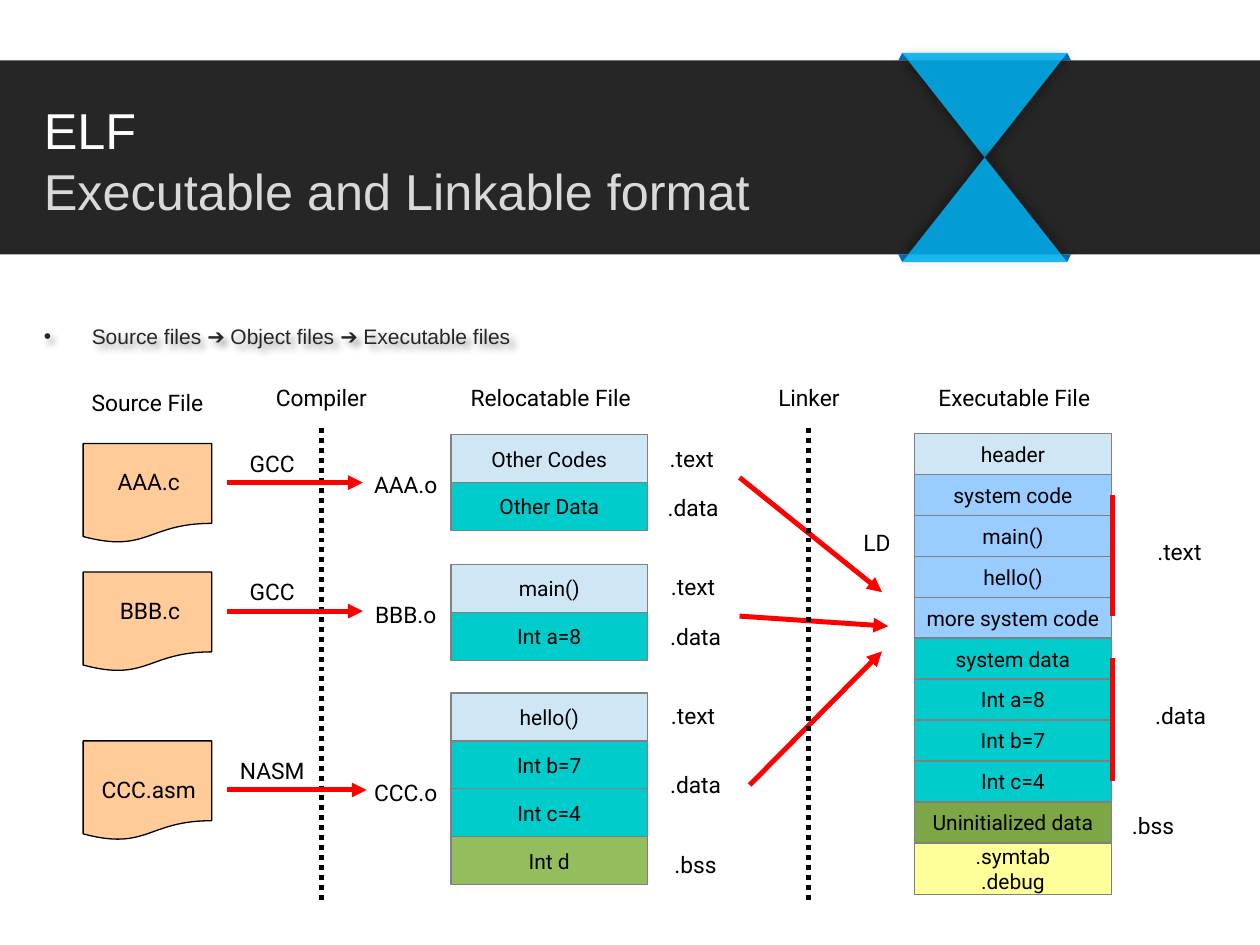
"""Build the slide showing how source files become an ELF executable."""
from lxml import etree
from pptx import Presentation
from pptx.dml.color import RGBColor
from pptx.enum.dml import MSO_LINE
from pptx.enum.shapes import MSO_CONNECTOR, MSO_SHAPE
from pptx.enum.text import MSO_ANCHOR, PP_ALIGN
from pptx.oxml.ns import qn
from pptx.util import Inches, Pt

RECTANGLE = MSO_SHAPE.RECTANGLE
TRIANGLE = MSO_SHAPE.ISOSCELES_TRIANGLE
DOCUMENT = MSO_SHAPE.FLOWCHART_DOCUMENT
STRAIGHT = MSO_CONNECTOR.STRAIGHT
DOTTED = MSO_LINE.ROUND_DOT
MIDDLE = MSO_ANCHOR.MIDDLE
CENTER = PP_ALIGN.CENTER
PALE, BLUE, TEAL = "CFE7F5", "99CCFF", "00CCCC"
RED, BLACK, GRAY = "FF0000", "000000", "808080"


def paint(fill, color):
    fill.solid()
    fill.fore_color.rgb = RGBColor.from_string(color)


def write(shape, text, size):
    frame = shape.text_frame
    frame.text = text
    frame.word_wrap = False
    frame.margin_left = frame.margin_right = 0
    for para in frame.paragraphs:
        para.alignment = CENTER
        for span in para.runs:
            span.font.size = Pt(size)
            span.font.name = "Roboto"
            paint(span.font.fill, BLACK)


deck = Presentation()
deck.slide_width, deck.slide_height = Inches(10), Inches(7.5)
page = deck.slides.add_slide(deck.slide_layouts[6])
shapes = page.shapes

for inner, outer, far in ((7.16, 7.13, 7.22), (8.47, 8.5, 8.42)):
    for tip, base in ((0.42, 0.48), (2.08, 2.02)):
        builder = shapes.build_freeform(Inches(inner), Inches(tip))
        builder.add_line_segments([(Inches(outer), Inches(base)), (Inches(far), Inches(base))])
        fold = builder.convert_to_shape()
        paint(fold.fill, "0070C0")
        fold.line.fill.background()
        fold.shadow.inherit = False

band = shapes.add_shape(RECTANGLE, 0, Inches(0.48), Inches(10), Inches(1.54))
paint(band.fill, "262626")
band.line.fill.background()
band.shadow.inherit = False

shadowed = []
for top, turn, direction in ((0.42, 180, 90), (1.25, 0, 270)):
    ribbon = shapes.add_shape(TRIANGLE, Inches(7.16), Inches(top), Inches(1.31), Inches(0.83))
    ribbon.rotation = turn
    paint(ribbon.fill, "00B0F0")
    ribbon.line.fill.background()
    tint = ribbon.fill._xPr.find(".//" + qn("a:srgbClr"))
    etree.SubElement(tint, qn("a:alpha"), val="87000")
    shadowed.append((ribbon, 7, direction))

title = shapes.add_textbox(Inches(0.25), Inches(0.92), Inches(5.92), Inches(0.7))
title.text_frame.text = "ELF\vExecutable and Linkable format"
title.text_frame.word_wrap = True
title.text_frame.vertical_anchor = MIDDLE
for span, color in zip(title.text_frame.paragraphs[0].runs, ("FFFFFF", "D9D9D9")):
    span.font.name = "Arial"
    span.font.size = Pt(28.8)
    paint(span.font.fill, color)

summary = shapes.add_textbox(Inches(0.25), Inches(2.42), Inches(4.65), Inches(0.46))
summary.text_frame.text = "Source files \u2794 Object files \u2794 Executable files"
summary.text_frame.word_wrap = True
para = summary.text_frame.paragraphs[0]
para.line_spacing = 1.5
para.runs[0].font.name = "Arial"
para.runs[0].font.size = Pt(12)
paint(para.runs[0].font.fill, "262626")
layout = para._p.get_or_add_pPr()
layout.set("marL", str(Inches(0.38)))
layout.set("indent", str(-Inches(0.38)))
etree.SubElement(layout, qn("a:buFont"), typeface="Arial")
etree.SubElement(layout, qn("a:buChar"), char="\u2022")
shadowed.append((summary, 4, 45))

for shape, blur, direction in shadowed:
    shape.shadow.inherit = False
    effects = shape._element.spPr.find(qn("a:effectLst"))
    shadow = etree.SubElement(effects, qn("a:outerShdw"), blurRad=str(Pt(blur)),
                              dist=str(Pt(3)), dir=str(direction * 60000), rotWithShape="0")
    shade = etree.SubElement(shadow, qn("a:srgbClr"), val=BLACK)
    etree.SubElement(shade, qn("a:alpha"), val="40000")

stacks = [
    (3.58, 3.45, 0.38, [("Other Codes", PALE), ("Other Data", TEAL)]),
    (3.58, 4.48, 0.38, [("main()", PALE), ("Int a=8", TEAL)]),
    (3.58, 5.5, 0.38, [("hello()", PALE), ("Int b=7", TEAL), ("Int c=4", TEAL),
                       ("Int d", "94BD5E")]),
    (7.26, 3.44, 0.325, [("header", PALE), ("system code", BLUE), ("main()", BLUE),
                         ("hello()", BLUE), ("more system code", BLUE),
                         ("system data", TEAL), ("Int a=8", TEAL), ("Int b=7", TEAL),
                         ("Int c=4", TEAL), ("Uninitialized data", "7DA647")]),
    (7.26, 6.69, 0.41, [(".symtab\n.debug", "FFFF99")]),
]
for left, top, height, sections in stacks:
    for row, (text, color) in enumerate(sections):
        section = shapes.add_shape(RECTANGLE, Inches(left), Inches(top + row * height),
                                   Inches(1.56), Inches(height))
        paint(section.fill, color)
        paint(section.line.fill, GRAY)
        section.line.width = Pt(0.75)
        section.shadow.inherit = False
        section.text_frame.vertical_anchor = MIDDLE
        write(section, text, 12)

for top in (3.52, 4.54, 5.88):
    source = shapes.add_shape(DOCUMENT, Inches(0.66), Inches(top), Inches(1.02), Inches(0.79))
    paint(source.fill, "FFCC99")
    paint(source.line.fill, BLACK)
    source.line.width = Pt(0.75)
    source.shadow.inherit = False

lines = [
    (8.83, 3.93, 8.83, 4.89, "bracket"),
    (8.83, 5.22, 8.83, 6.2, "bracket"),
    (5.87, 3.79, 7, 4.7, "arrow"),
    (5.87, 4.89, 7.05, 4.97, "arrow"),
    (5.95, 6.23, 7, 5.17, "arrow"),
    (6.42, 3.4, 6.42, 7.14, "divider"),
    (2.55, 3.4, 2.55, 7.14, "divider"),
    (1.8, 3.83, 2.88, 3.83, "arrow"),
    (1.8, 4.85, 2.88, 4.85, "arrow"),
    (1.8, 6.27, 2.91, 6.27, "arrow"),
]
for x1, y1, x2, y2, role in lines:
    line = shapes.add_connector(STRAIGHT, Inches(x1), Inches(y1), Inches(x2), Inches(y2))
    paint(line.line.fill, BLACK if role == "divider" else RED)
    line.line.width = Pt(2.83)
    if role == "divider":
        line.line.dash_style = DOTTED
    if role == "arrow":
        etree.SubElement(line.line._get_or_add_ln(), qn("a:tailEnd"), type="triangle")
    etree.SubElement(line._element.spPr, qn("a:effectLst"))

labels = [
    (1.56, [("Source File", 1.17, 3.04), ("Relocatable File", 4.37, 3),
            ("Executable File", 8.05, 3)]),
    (1.02, [("Compiler", 2.55, 3), ("Linker", 6.42, 3), ("CCC.asm", 1.18, 6.11)]),
    (0.55, [("AAA.c", 1.18, 3.66), ("BBB.c", 1.19, 4.69),
            ("GCC", 2.16, 3.52), ("GCC", 2.16, 4.54), ("NASM", 2.16, 5.96),
            ("AAA.o", 3.22, 3.69), ("BBB.o", 3.22, 4.72), ("CCC.o", 3.22, 6.13),
            (".text", 5.49, 3.48), (".data", 5.5, 3.87),
            (".text", 5.5, 4.5), (".data", 5.52, 4.89),
            (".text", 5.5, 5.52), (".data", 5.52, 6.07), (".bss", 5.52, 6.7),
            ("LD", 6.96, 4.15),
            (".text", 9.36, 4.22), (".data", 9.37, 5.52), (".bss", 9.15, 6.39)]),
]
for width, entries in labels:
    for text, center, top in entries:
        label = shapes.add_textbox(Inches(center - width / 2), Inches(top),
                                   Inches(width), Inches(0.24))
        write(label, text, 13)

deck.save("out.pptx")
